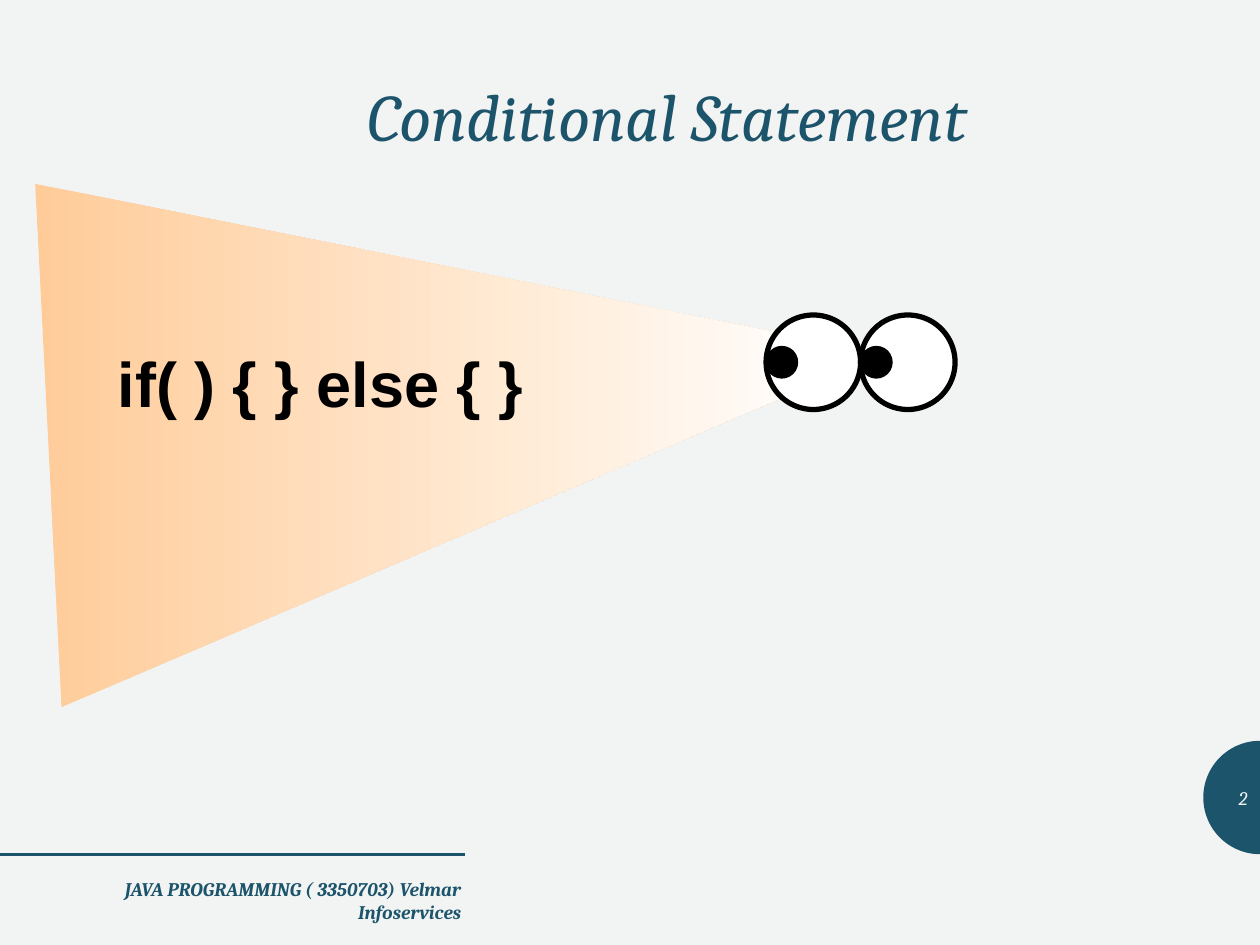
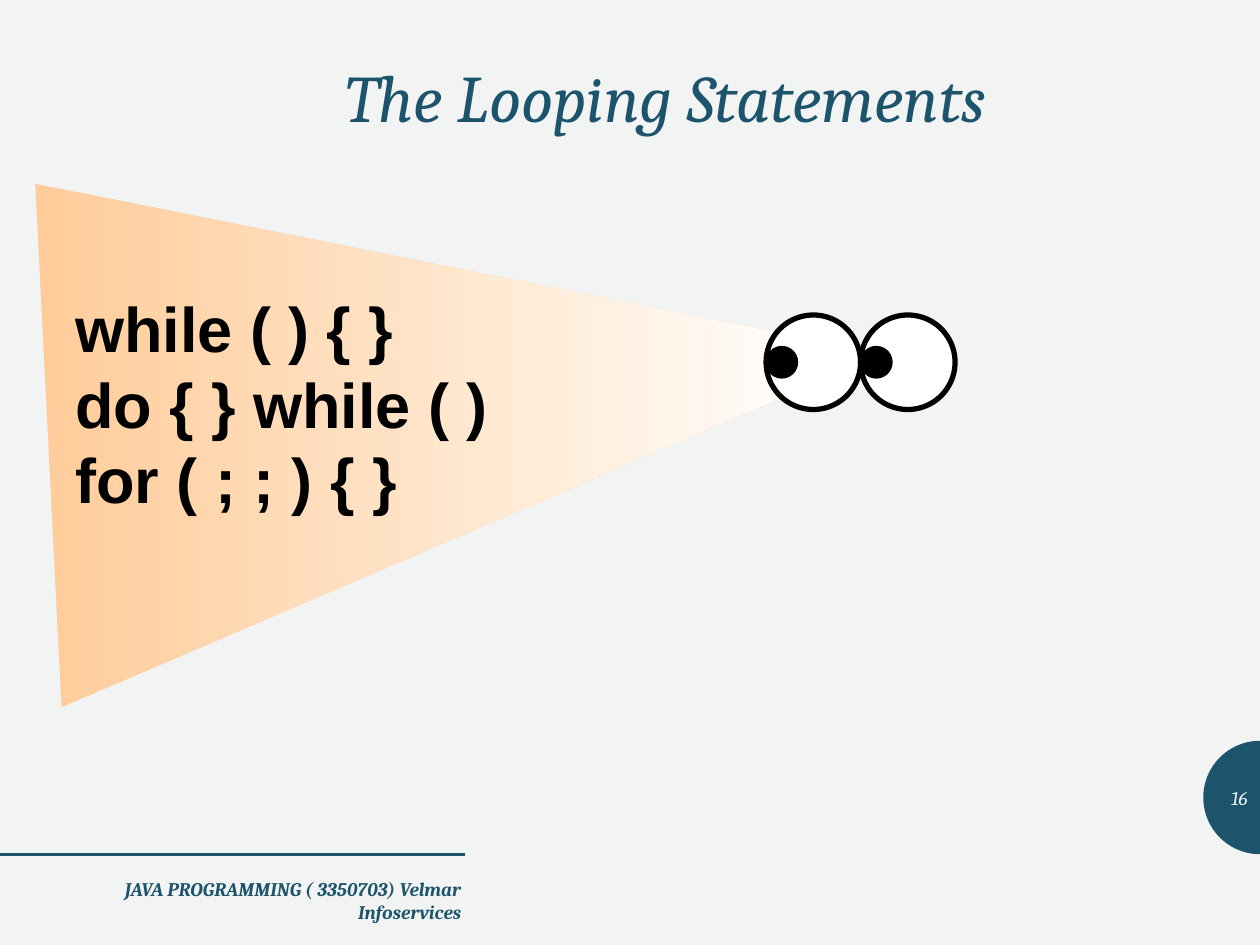
import math

from lxml import etree
from pptx import Presentation
from pptx.dml.color import RGBColor
from pptx.enum.shapes import MSO_CONNECTOR, MSO_SHAPE
from pptx.enum.text import MSO_ANCHOR, MSO_AUTO_SIZE, PP_ALIGN
from pptx.oxml.ns import qn
from pptx.util import Inches, Pt

LEFT, CENTER, RIGHT = PP_ALIGN.LEFT, PP_ALIGN.CENTER, PP_ALIGN.RIGHT
TOP, MIDDLE = MSO_ANCHOR.TOP, MSO_ANCHOR.MIDDLE
OVAL = MSO_SHAPE.OVAL

# Content: boxes are left, top, width, height in inches
SLIDES = [
    {"title": "Conditional Statement", "title_box": (2.44, 0.62, 5.71, 0.67),
     "code": ["if( ) { } else { }"], "code_box": (0.67, 2.75, 3.75, 0.64),
     "code_align": CENTER, "code_spacing": 0.9, "number": "2"},
    {"title": "The Looping Statements", "title_box": (2.24, 0.47, 6.09, 0.67),
     "code": ["while ( ) { }", "do { } while ( )", "for ( ; ; ) { }"],
     "code_box": (0.5, 2.25, 3.67, 1.9),
     "code_align": LEFT, "code_spacing": 1.0, "number": "16"},
]
FOOTER = "JAVA PROGRAMMING ( 3350703) Velmar Infoservices"

# Shared look
COLORS = {"paper": "F2F3F3", "teal": "1C546B", "peach": "FFCC99",
          "white": "FFFFFF", "black": "000000"}
TITLE_FONT, CODE_FONT = "Cambria", "Arial"
FOOTER_BOX = (0.63, 6.91, 3.13, 0.4)
NUMBER_BOX = (9.55, 6.13, 0.45, 0.4)
RULE_Y, RULE_END = 6.78, 3.69
BADGE_X, BADGE_Y, BADGE_R, BADGE_STEPS = 10, 6.33, 0.45, 48
BEAM = [(0.28, 1.46), (0.49, 5.61), (6.29, 3.12), (6.68, 3.07), (6.32, 2.67)]
EYE_LEFT, EYE_TOP, EYE_SIZE, PUPIL_SIZE = 6.08, 2.5, 0.75, 0.25


def rgb(name):
    return RGBColor.from_string(COLORS[name])


def add_text(s, box, lines, font, size, color, align, bold=False, italic=False,
             spacing=1.0, anchor=TOP, wrap=True):
    tf = s.shapes.add_textbox(*map(Inches, box)).text_frame
    tf.word_wrap = wrap
    tf.auto_size = MSO_AUTO_SIZE.NONE
    tf.vertical_anchor = anchor
    for i, line in enumerate(lines):
        p = tf.paragraphs[0] if i == 0 else tf.add_paragraph()
        p.alignment = align
        p.line_spacing = spacing
        r = p.add_run()
        r.text = line
        r.font.name, r.font.size = font, Pt(size)
        r.font.bold, r.font.italic = bold, italic
        r.font.color.rgb = rgb(color)


def add_outline(s, points):
    builder = s.shapes.build_freeform(Inches(points[0][0]), Inches(points[0][1]))
    builder.add_line_segments([(Inches(x), Inches(y)) for x, y in points[1:]])
    sp = builder.convert_to_shape()
    sp.shadow.inherit = False
    sp.line.fill.background()
    return sp


def add_circle(s, left, top, size, fill, line_width):
    sp = s.shapes.add_shape(OVAL, *map(Inches, (left, top, size, size)))
    sp.shadow.inherit = False
    sp.fill.solid()
    sp.fill.fore_color.rgb = rgb(fill)
    sp.line.color.rgb = rgb("black")
    sp.line.width = Pt(line_width)


def add_frame(s):
    """Background, half-round number badge and footer rule."""
    s.background.fill.solid()
    s.background.fill.fore_color.rgb = rgb("paper")
    angles = [math.pi * (0.5 + i / BADGE_STEPS) for i in range(BADGE_STEPS + 1)]
    badge = add_outline(s, [(BADGE_X + BADGE_R * math.cos(a),
                             BADGE_Y + BADGE_R * math.sin(a)) for a in angles])
    badge.fill.solid()
    badge.fill.fore_color.rgb = rgb("teal")
    rule = s.shapes.add_connector(MSO_CONNECTOR.STRAIGHT, 0, Inches(RULE_Y),
                                  Inches(RULE_END), Inches(RULE_Y))
    rule.line.color.rgb = rgb("teal")
    rule.line.width = Pt(2)
    etree.SubElement(rule._element.spPr, qn("a:effectLst"))


def add_beam(s):
    beam = add_outline(s, BEAM)
    beam.fill.gradient()
    beam.fill.gradient_angle = 0
    for stop, color in zip(beam.fill.gradient_stops, ("peach", "white")):
        stop.color.rgb = rgb(color)


def add_eyes(s):
    lefts = [EYE_LEFT + i * EYE_SIZE for i in range(2)]
    for left in lefts:
        add_circle(s, left, EYE_TOP, EYE_SIZE, "white", 3)
    for left in lefts:
        add_circle(s, left, EYE_TOP + (EYE_SIZE - PUPIL_SIZE) / 2,
                   PUPIL_SIZE, "black", 0.75)


def main():
    prs = Presentation()
    prs.slide_width, prs.slide_height = Inches(10), Inches(7.5)
    for item in SLIDES:
        s = prs.slides.add_slide(prs.slide_layouts[6])
        add_frame(s)
        add_beam(s)
        add_text(s, item["code_box"], item["code"], CODE_FONT, 36, "black",
                 item["code_align"], bold=True, spacing=item["code_spacing"])
        add_eyes(s)
        add_text(s, item["title_box"], [item["title"]], TITLE_FONT, 38, "teal",
                 CENTER, italic=True, spacing=0.9, wrap=False)
        add_text(s, FOOTER_BOX, [FOOTER], TITLE_FONT, 11, "teal", RIGHT,
                 bold=True, italic=True)
        add_text(s, NUMBER_BOX, [item["number"]], TITLE_FONT, 11, "paper", RIGHT,
                 italic=True, anchor=MIDDLE)
    prs.save("out.pptx")


if __name__ == "__main__":
    main()
